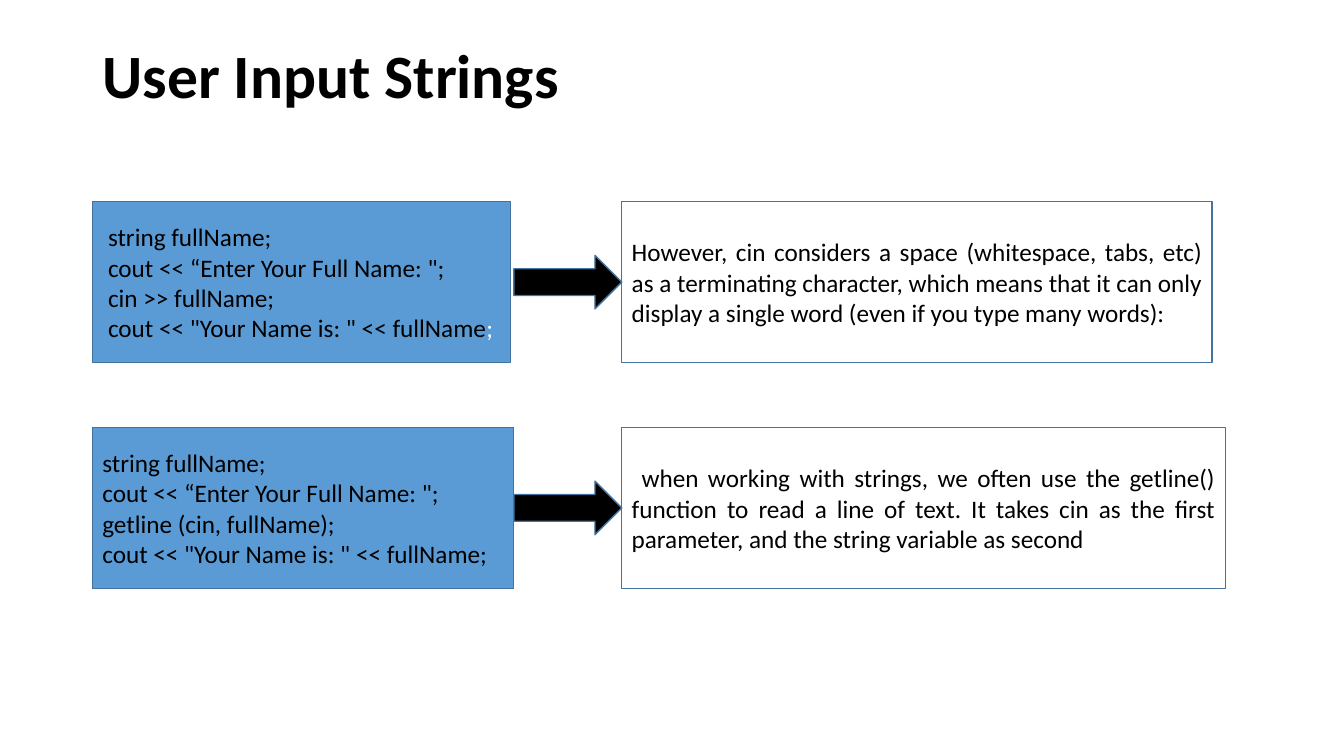
from dataclasses import dataclass

import pptx
import pptx.dml.color
import pptx.enum.shapes
import pptx.enum.text
import pptx.util

Cm = pptx.util.Cm
SHAPES = pptx.enum.shapes.MSO_SHAPE
ALIGN = pptx.enum.text.PP_ALIGN
ANCHOR = pptx.enum.text.MSO_ANCHOR


@dataclass(frozen=True)
class Theme:
    font: str = "Calibri"
    title_size: int = 44
    body_size: int = 18
    line_width: int = 1
    ink: str = "000000"
    paper: str = "FFFFFF"
    code_fill: str = "5B9BD5"
    outline: str = "43739E"


class SlideBuilder:
    def __init__(self, page, theme):
        self.page = page
        self.theme = theme

    def format_span(self, span, size, color=None, bold=False):
        span.font.name = self.theme.font
        span.font.size = pptx.util.Pt(size)
        span.font.bold = bold
        span.font.color.rgb = pptx.dml.color.RGBColor.from_string(color or self.theme.ink)

    def title(self, text, left, top, width, height):
        box = self.page.shapes.title
        box.left, box.top, box.width, box.height = map(Cm, (left, top, width, height))
        frame = box.text_frame
        frame.text = text
        frame.auto_size = pptx.enum.text.MSO_AUTO_SIZE.NONE
        frame.vertical_anchor = ANCHOR.TOP
        para = frame.paragraphs[0]
        para.alignment = ALIGN.LEFT
        para.line_spacing = 0.9
        self.format_span(para.runs[0], self.theme.title_size, bold=True)

    def shape(self, kind, left, top, width, height, fill):
        shape = self.page.shapes.add_shape(kind, *map(Cm, (left, top, width, height)))
        shape.shadow.inherit = False
        shape.fill.solid()
        shape.fill.fore_color.rgb = pptx.dml.color.RGBColor.from_string(fill)
        shape.line.color.rgb = pptx.dml.color.RGBColor.from_string(self.theme.outline)
        shape.line.width = pptx.util.Pt(self.theme.line_width)
        return shape

    def text_box(self, text, left, top, width, height, fill, alignment):
        box = self.shape(SHAPES.RECTANGLE, left, top, width, height, fill)
        frame = box.text_frame
        frame.text = text
        frame.word_wrap = True
        frame.vertical_anchor = ANCHOR.MIDDLE
        for para in frame.paragraphs:
            para.alignment = alignment
            for span in para.runs:
                self.format_span(span, self.theme.body_size)
        return box

    def code(self, text, left, top, width, height):
        return self.text_box(text, left, top, width, height, self.theme.code_fill, ALIGN.LEFT)

    def note(self, text, left, top, width, height, first_indent=0):
        box = self.text_box(text, left, top, width, height, self.theme.paper, ALIGN.JUSTIFY)
        if first_indent:
            properties = box.text_frame.paragraphs[0]._p.get_or_add_pPr()
            properties.set("indent", str(Cm(first_indent)))

    def arrow(self, left, top, width, height):
        self.shape(SHAPES.RIGHT_ARROW, left, top, width, height, self.theme.ink)


CIN_CODE = """ string fullName;
 cout << “Enter Your Full Name: ";
 cin >> fullName;
 cout << "Your Name is: " << fullName"""
GETLINE_CODE = """string fullName;
cout << “Enter Your Full Name: ";
getline (cin, fullName);
cout << "Your Name is: " << fullName;"""
CIN_NOTE = (
    "However, cin considers a space (whitespace, tabs, etc) as a terminating character, "
    "which means that it can only display a single word (even if you type many words):"
)
GETLINE_NOTE = (
    "when working with strings, we often use the getline() function to read a line of text. "
    "It takes cin as the first parameter, and the string variable as second"
)

CODE_LEFT, ARROW_LEFT, NOTE_LEFT = 2.33, 12.95, 15.67
ROW_HEIGHT, ARROW_HEIGHT = 4.06, 1.35
ROWS = [
    # top, code, code width, note, note width, first-line indent
    (5.08, CIN_CODE, 10.54, CIN_NOTE, 14.88, 0),
    (10.77, GETLINE_CODE, 10.62, GETLINE_NOTE, 15.21, 0.25),
]


def main():
    deck = pptx.Presentation()
    deck.slide_width, deck.slide_height = Cm(33.87), Cm(19.05)
    theme = Theme()
    builder = SlideBuilder(deck.slides.add_slide(deck.slide_layouts[5]), theme)
    builder.title("User Input Strings", CODE_LEFT, 1.01, 29.21, 3.68)

    code_boxes = []
    for top, code, code_width, note, note_width, indent in ROWS:
        code_boxes.append(builder.code(code, CODE_LEFT, top, code_width, ROW_HEIGHT))
        builder.note(note, NOTE_LEFT, top, note_width, ROW_HEIGHT, indent)
        arrow_top = top + (ROW_HEIGHT - ARROW_HEIGHT) / 2
        builder.arrow(ARROW_LEFT, arrow_top, NOTE_LEFT - ARROW_LEFT, ARROW_HEIGHT)

    semicolon = code_boxes[0].text_frame.paragraphs[-1].add_run()
    semicolon.text = ";"
    builder.format_span(semicolon, theme.body_size, theme.paper)
    deck.save("out.pptx")


if __name__ == "__main__":
    main()
